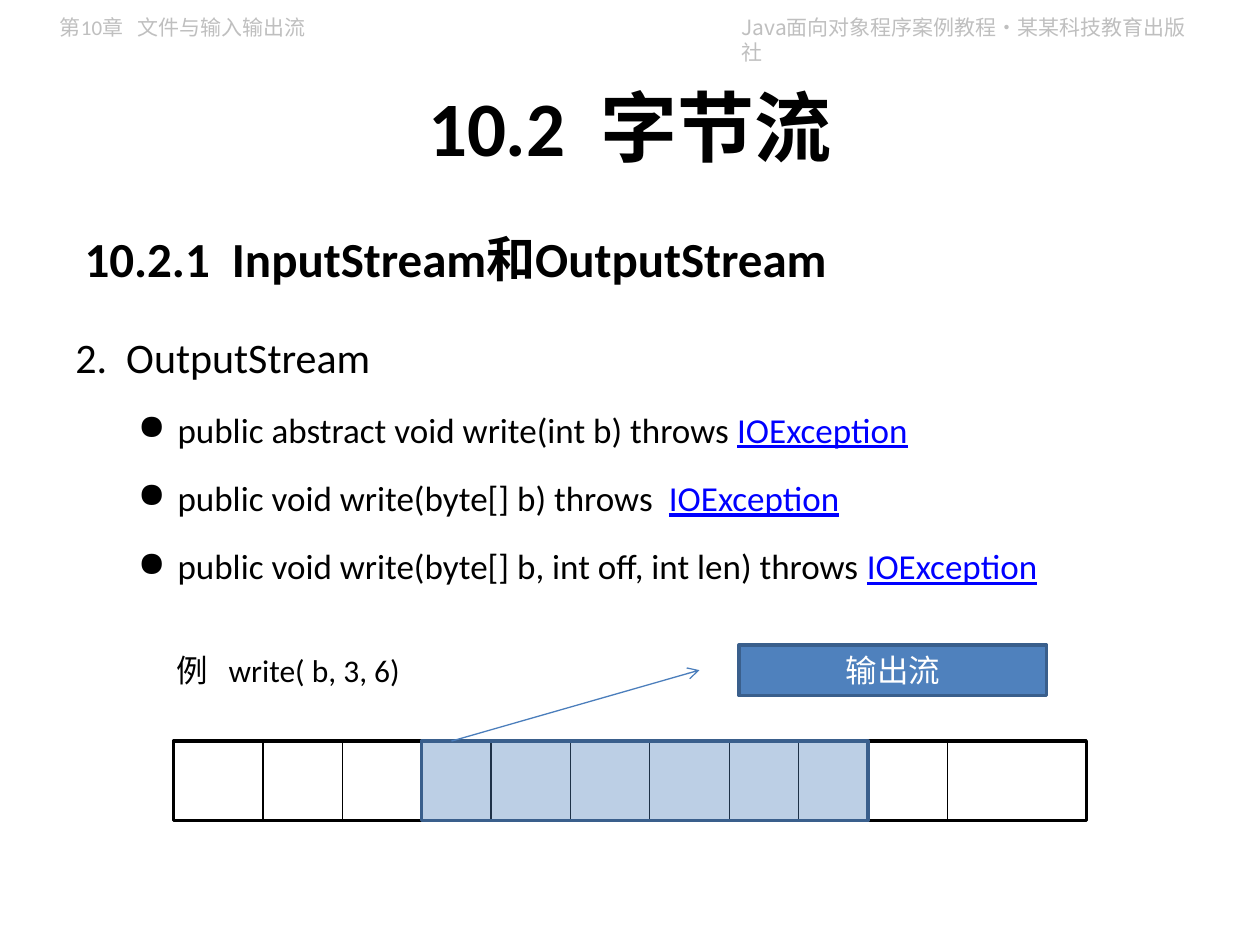
import itertools

import lxml.etree
import pptx
import pptx.dml.color
import pptx.enum.shapes
import pptx.enum.text
import pptx.oxml.ns
import pptx.util

UNIT = 10 / 127
LATIN, CJK = "Calibri", "Noto Sans CJK SC"
ALIGN = pptx.enum.text.PP_ALIGN
ANCHOR = pptx.enum.text.MSO_ANCHOR
BLACK, GREY, LINK = "000000", "BFBFBF", "0000FF"
BLUE, DARK_BLUE, ARROW_BLUE = "4F81BD", "3A5F8C", "4B7EBC"
ARRAY_LEFT, ARRAY_TOP, ARRAY_HEIGHT = 17.5, 74.7, 8
CELL_WIDTHS = [9, 8, 8, 7, 8, 8, 8, 7, 7, 8, 14]
OFFSET, LENGTH = 3, 6
METHODS = ["public abstract void write(int b) throws ",
           "public void write(byte[] b) throws  ",
           "public void write(byte[] b, int off, int len) throws "]


def grid(*cells):
    """Turn grid units, 127 to the slide's width, into lengths."""
    return [pptx.util.Inches(cell * UNIT) for cell in cells]


def color(value):
    """Return the colour for a hex string."""
    return pptx.dml.color.RGBColor.from_string(value)


def add_xml(parent, tag, **attributes):
    """Append a drawing element with attributes and return it."""
    name = pptx.oxml.ns.qn("a:" + tag)
    return lxml.etree.SubElement(parent, name, attributes)


def add_run(paragraph, text, size, hue=BLACK, bold=False, underline=False, font=LATIN):
    """Add a formatted run to a paragraph."""
    run = paragraph.add_run()
    run.text = text
    run.font.size = pptx.util.Pt(size)
    run.font.name = font
    run.font.bold = bold
    run.font.underline = underline
    run.font.color.rgb = color(hue)
    add_xml(run.font._element, "ea", typeface=CJK)


def add_text(slide, box, text, size, align=ALIGN.LEFT, anchor=ANCHOR.TOP,
             wrap=True, before=0, **font):
    """Add a text box with one paragraph and return its frame."""
    frame = slide.shapes.add_textbox(*grid(*box)).text_frame
    frame.word_wrap = wrap
    frame.vertical_anchor = anchor
    paragraph = frame.paragraphs[0]
    paragraph.alignment = align
    paragraph.space_before = pptx.util.Pt(before)
    add_run(paragraph, text, size, **font)
    return frame


def add_method(frame, signature):
    """Add a bulleted method signature that ends in its exception."""
    paragraph = frame.add_paragraph()
    paragraph.line_spacing = pptx.util.Pt(35)
    paragraph.space_before = pptx.util.Pt(4)
    margin, indent = grid(10.3, -4)
    properties = paragraph._p.get_or_add_pPr()
    properties.set("marL", str(margin))
    properties.set("indent", str(indent))
    add_xml(properties, "buChar", char="●")
    add_run(paragraph, signature, 20)
    add_run(paragraph, "IOException", 20, hue=LINK, underline=True)


def add_box(slide, box, line, fill=None, opacity=100):
    """Add a rectangle with an optional, partly transparent fill."""
    shape = slide.shapes.add_shape(
        pptx.enum.shapes.MSO_SHAPE.RECTANGLE, *grid(*box))
    shape.shadow.inherit = False
    shape.line.color.rgb = color(line)
    shape.line.width = pptx.util.Pt(2)
    if fill is None:
        shape.fill.background()
        return shape
    shape.fill.solid()
    shape.fill.fore_color.rgb = color(fill)
    if opacity < 100:
        hue = shape._element.spPr.find(".//" + pptx.oxml.ns.qn("a:srgbClr"))
        add_xml(hue, "alpha", val=str(opacity * 1000))
    return shape


def add_line(slide, start, end, hue, arrow=False):
    """Add a thin straight line, with an arrowhead at its end if asked."""
    line = slide.shapes.add_connector(
        pptx.enum.shapes.MSO_CONNECTOR.STRAIGHT, *grid(*start, *end))
    line.line.color.rgb = color(hue)
    line.line.width = pptx.util.Pt(0.75)
    if arrow:
        add_xml(line.line._get_or_add_ln(), "tailEnd", type="arrow")
    add_xml(line._element.spPr, "effectLst")


def add_array(slide):
    """Draw the byte array and tint the cells that are written."""
    edges = [ARRAY_LEFT + width
             for width in itertools.accumulate(CELL_WIDTHS, initial=0)]
    bottom = ARRAY_TOP + ARRAY_HEIGHT
    add_box(slide, (ARRAY_LEFT, ARRAY_TOP, sum(CELL_WIDTHS), ARRAY_HEIGHT), BLACK)
    for edge in edges[1:-1]:
        add_line(slide, (edge, ARRAY_TOP), (edge, bottom), BLACK)
    first, last = edges[OFFSET], edges[OFFSET + LENGTH]
    add_box(slide, (first, ARRAY_TOP, last - first, ARRAY_HEIGHT),
            DARK_BLUE, BLUE, opacity=38)


def add_stream(slide):
    """Draw the output stream box."""
    shape = add_box(slide, (74.5, 65, 31, 5.1), DARK_BLUE, BLUE)
    shape.text_frame.vertical_anchor = ANCHOR.MIDDLE
    paragraph = shape.text_frame.paragraphs[0]
    paragraph.alignment = ALIGN.CENTER
    add_run(paragraph, "输出流", 18, hue="FFFFFF")


def main():
    """Build the slide and save it."""
    presentation = pptx.Presentation()
    presentation.slide_width = pptx.util.Inches(10)
    presentation.slide_height = pptx.util.Inches(7.5)
    slide = presentation.slides.add_slide(presentation.slide_layouts[6])
    add_text(slide, (73.5, 0.8, 48, 3.9), "Java面向对象程序案例教程•某某科技教育出版社",
             12, hue=GREY, font=CJK)
    add_text(slide, (4.8, 0.8, 43.7, 3.9), "第10章   文件与输入输出流", 12, hue=GREY)
    add_text(slide, (6.35, 4.7, 114.3, 15.9), "10.2  字节流", 44,
             align=ALIGN.CENTER, anchor=ANCHOR.MIDDLE, bold=True)
    heading = add_text(slide, (7, 22.6, 94.5, 7), "10.2.1  InputStream和OutputStream",
                       28, anchor=ANCHOR.BOTTOM, before=5.6, bold=True)
    heading.margin_left = pptx.util.Inches(0.12)
    body = add_text(slide, (6.35, 32.8, 111.1, 54.9), "2.  OutputStream", 24, before=4.8)
    for signature in METHODS:
        add_method(body, signature)
    add_array(slide)
    add_text(slide, (16.5, 65, 26.2, 5.1), "例   write( b, 3, 6) ", 18, wrap=False)
    add_line(slide, (45.5, ARRAY_TOP), (70.5, 67.55), ARROW_BLUE, arrow=True)
    add_stream(slide)
    presentation.save("out.pptx")


main()
